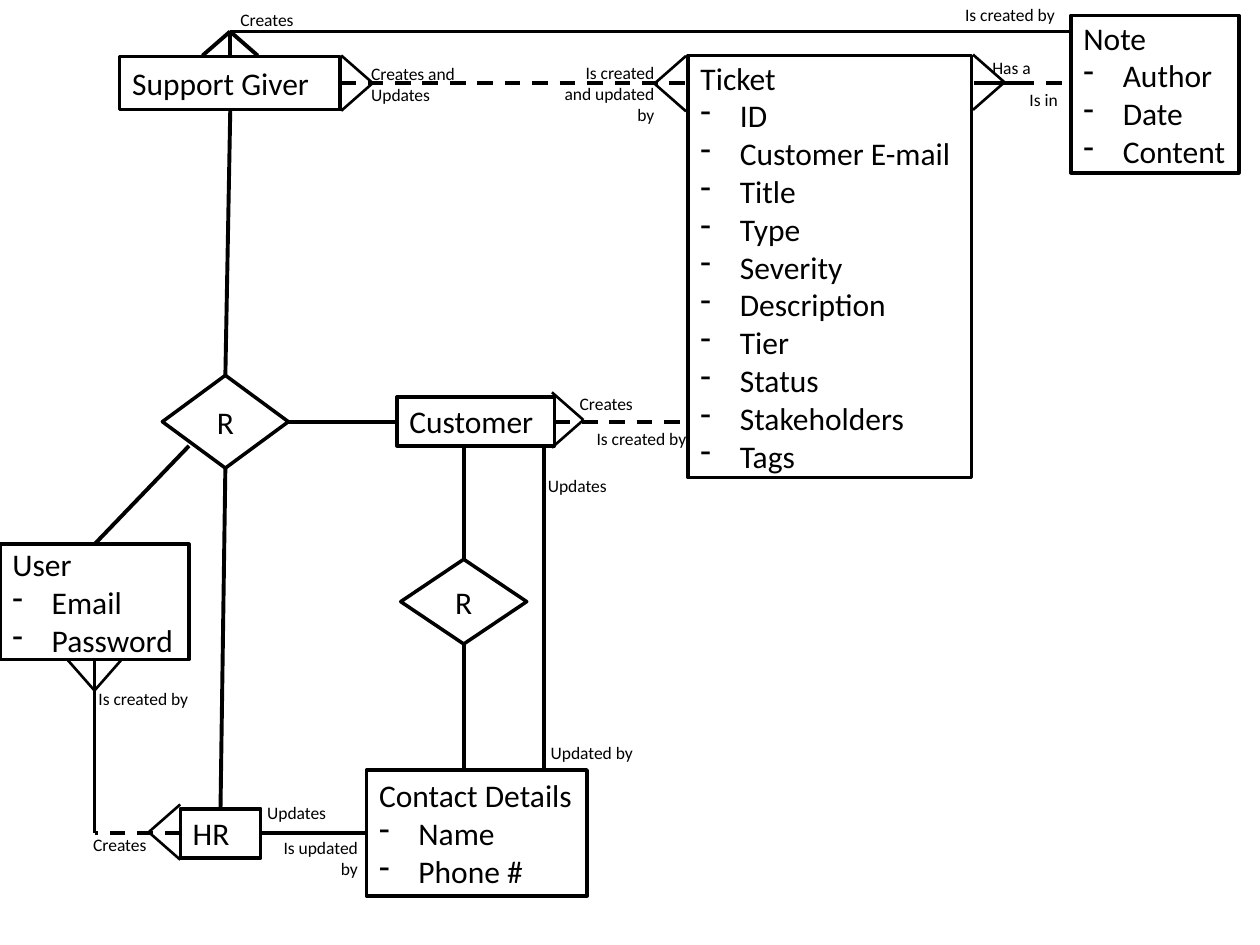
from lxml import etree
from pptx import Presentation
from pptx.dml.color import RGBColor
from pptx.enum import dml, shapes, text
from pptx.oxml.ns import qn
from pptx.util import Pt

BLACK = RGBColor(0, 0, 0)
FONT = "Calibri"
THIN, THICK = 1.5, 2.25
INDENT = 22.5

ENTITIES = [
    ("Customer", [], 226.8, 226.8, 90, 28),
    ("Contact Details", ["Name", "Phone #"], 209.5, 440, 126, 72),
    ("Support Giver", [], 68.4, 32.4, 126, 30.2),
    ("Ticket", ["ID", "Customer E-mail", "Title", "Type", "Severity", "Description",
                "Tier", "Status", "Stakeholders", "Tags"], 393.2, 31.7, 162, 241.2),
    ("Note", ["Author", "Date", "Content"], 612, 8.8, 96, 90),
    ("User", ["Email", "Password"], 0, 311, 108, 66),
    ("HR", [], 103, 462.2, 46, 28),
]
RELATIONS = [("R", 229, 319.6, 72, 48.4), ("R", 92.8, 214.5, 72, 53)]

SOLID_LINES = [
    (556.6, 47.5, 582, 47.5),
    (311, 254.8, 311, 440),
    (226.8, 241, 164.8, 241),
    (131.6, 62.6, 128.8, 214.5),
    (126, 462.2, 128.8, 267.5),
    (149, 476, 209.5, 476),
    (131.6, 32.4, 131.6, 18),
    (612, 18, 131.6, 18),
    (265, 368, 265, 440),
    (265, 319.6, 265, 254.8),
    (108, 254.8, 54, 311),
    (54, 377, 54, 476),
]
DASHED_LINES = [
    (582, 47.5, 612, 47.5),
    (194.4, 47.5, 393.2, 47.5),
    (316.8, 241, 392, 241),
    (103, 476, 54, 476),
]
CROW_FEET = [
    (574, 47, -18, 0, THIN),
    (213, 47.5, -18, 0, THIN),
    (374, 47.8, 18, 0, THIN),
    (333.4, 240, -18, 0, THIN),
    (85, 475.5, 18, 0, THIN),
    (54, 394.6, 0, -18, THIN),
    (131.5, 18, 0, 13.8, THICK),
]
SPREAD = 15.8

LEFT, RIGHT = text.PP_ALIGN.LEFT, text.PP_ALIGN.RIGHT
LABELS = [
    ("Creates and\nUpdates", 205, 32.4, 63.4, LEFT),
    ("Is created\nand updated\nby", 314, 31.7, 67, RIGHT),
    ("Updates", 306, 267.8, 49, LEFT),
    ("Updated by", 307.6, 420.2, 62, LEFT),
    ("Updates", 145.6, 454.5, 49, LEFT),
    ("Is updated\vby", 154, 474.5, 57.6, RIGHT),
    ("Creates", 324.2, 221.3, 45.4, LEFT),
    ("Has a", 560, 29, 36.7, LEFT),
    ("Is in", 581.2, 47.5, 31, LEFT),
    ("Is created by", 333.8, 241.2, 68.4, LEFT),
    ("Is created by", 544.4, -1.4, 67, LEFT),
    ("Creates", 130.3, 1.4, 45.4, LEFT),
    ("Creates", 46.2, 473, 45.4, LEFT),
    ("Is created by", 49.2, 389.6, 67, LEFT),
]

deck = Presentation()
deck.slide_width, deck.slide_height = Pt(720), Pt(540)
page = deck.slides.add_slide(deck.slide_layouts[6])


def style_text(frame, size, align):
    for para in frame.paragraphs:
        para.alignment = align
        for span in para.runs:
            span.font.size = Pt(size)
            span.font.name = FONT
            span.font.color.rgb = BLACK


def add_box(kind, words, frame, align):
    box = page.shapes.add_shape(kind, *map(Pt, frame))
    box.shadow.inherit = False
    box.fill.background()
    box.line.color.rgb = BLACK
    box.line.width = Pt(2)
    box.text_frame.text = words
    box.text_frame.vertical_anchor = text.MSO_ANCHOR.MIDDLE
    style_text(box.text_frame, 18, align)
    return box


def add_bullet(para):
    props = para._p.get_or_add_pPr()
    props.set("marL", str(Pt(INDENT)))
    props.set("indent", str(Pt(-INDENT)))
    etree.SubElement(props, qn("a:buFontTx"))
    etree.SubElement(props, qn("a:buChar")).set("char", "-")


def add_line(ends, width=THICK, dashed=False):
    line = page.shapes.add_connector(shapes.MSO_CONNECTOR.STRAIGHT, *map(Pt, ends))
    line.line.color.rgb = BLACK
    line.line.width = Pt(width)
    if dashed:
        line.line.dash_style = dml.MSO_LINE.DASH
    etree.SubElement(line._element.spPr, qn("a:effectLst"))


for title, fields, *frame in ENTITIES:
    box = add_box(shapes.MSO_SHAPE.RECTANGLE, "\n".join([title, *fields]), frame, LEFT)
    for para in box.text_frame.paragraphs[1:]:
        add_bullet(para)

for name, *frame in RELATIONS:
    add_box(shapes.MSO_SHAPE.FLOWCHART_DECISION, name, frame, text.PP_ALIGN.CENTER)

for ends in SOLID_LINES:
    add_line(ends)
for ends in DASHED_LINES:
    add_line(ends, dashed=True)

for x, y, reach_x, reach_y, width in CROW_FEET:
    for side in (-SPREAD, SPREAD):
        end_x = x + (reach_x or side)
        end_y = y + (reach_y or side)
        add_line((x, y, end_x, end_y), width)

for words, left, top, width, align in LABELS:
    rows = len(words.splitlines())
    label = page.shapes.add_textbox(Pt(left), Pt(top), Pt(width), Pt(7.2 + 12.2 * rows))
    label.text_frame.word_wrap = False
    label.text_frame.auto_size = text.MSO_AUTO_SIZE.SHAPE_TO_FIT_TEXT
    label.text_frame.text = words
    style_text(label.text_frame, 10, align)

deck.save("out.pptx")
